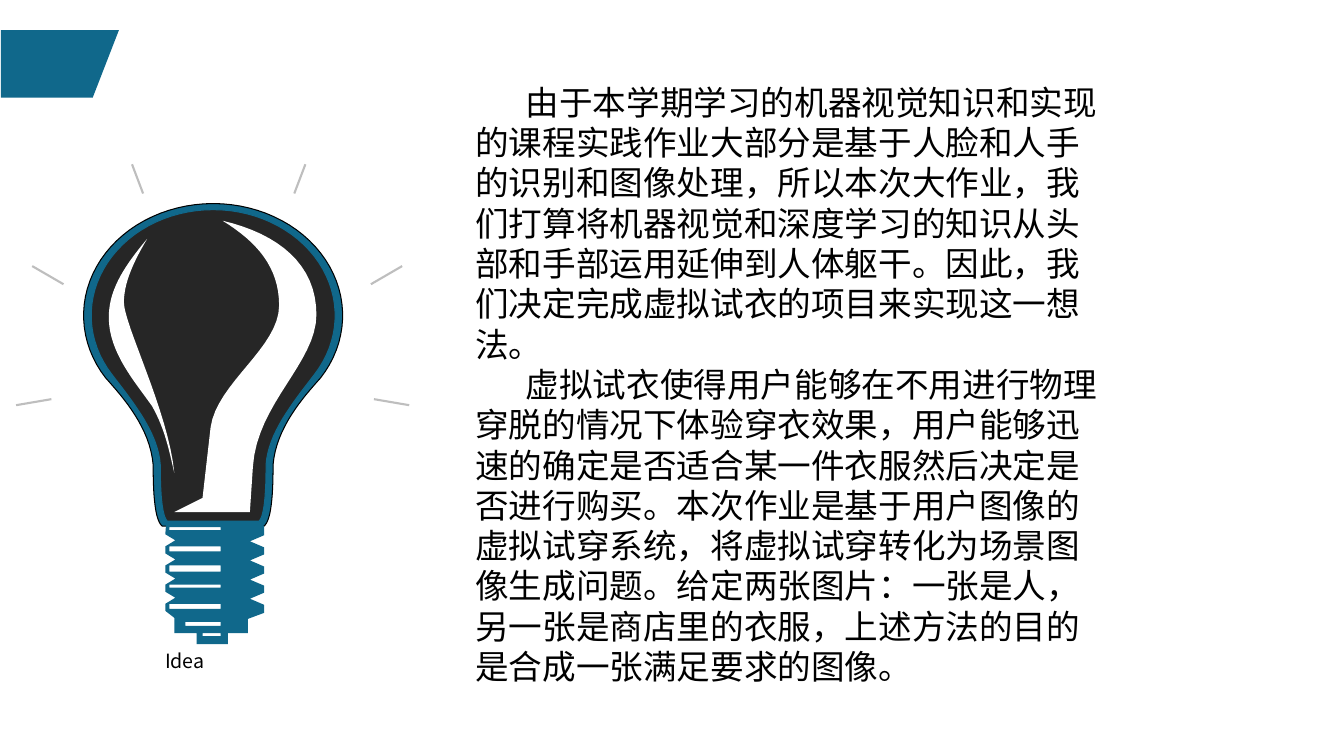
import math

import pptx
import pptx.dml.color
import pptx.enum.shapes
import pptx.util
from lxml import etree

Cm = pptx.util.Cm
Pt = pptx.util.Pt
RGB = pptx.dml.color.RGBColor

BLUE = RGB(0x10, 0x68, 0x8B)
DARK = RGB(0x26, 0x26, 0x26)
GREY = RGB(0xBE, 0xBE, 0xBE)
BLACK = RGB(0, 0, 0)
WHITE = RGB(0xFF, 0xFF, 0xFF)
FONT = "Noto Sans CJK SC"
NS = "{http://schemas.openxmlformats.org/drawingml/2006/main}"

GRID = Cm(0.0254)
AXIS = 211.5
HEART = 313
PITCH = 19
BODY = [
    "由于本学期学习的机器视觉知识和实现的课程实践作业大部分是基于人脸和人手的识别和图像处理，"
    "所以本次大作业，我们打算将机器视觉和深度学习的知识从头部和手部运用延伸到人体躯干。"
    "因此，我们决定完成虚拟试衣的项目来实现这一想法。",
    "虚拟试衣使得用户能够在不用进行物理穿脱的情况下体验穿衣效果，"
    "用户能够迅速的确定是否适合某一件衣服然后决定是否进行购买。"
    "本次作业是基于用户图像的虚拟试穿系统，将虚拟试穿转化为场景图像生成问题。"
    "给定两张图片：一张是人，另一张是商店里的衣服，上述方法的目的是合成一张满足要求的图像。"]


class Page:
    """Hold the style and the current slide, and draw each kind of element."""

    def __init__(self, deck):
        """Add an empty slide to the deck."""
        self.slide = deck.slides.add_slide(deck.slide_layouts[6])
        self.place = self.slide.shapes

    def group(self):
        """Draw the elements that follow into a new group."""
        self.place = self.slide.shapes.add_group_shape().shapes

    def ungroup(self):
        """Draw the elements that follow directly on the slide."""
        self.place = self.slide.shapes

    def shape(self, fill, *loops, line=None):
        """Draw closed outlines given in grid units; inner loops are holes."""
        first, *rest = [[(x * GRID, y * GRID) for x, y in loop] for loop in loops]
        pen = self.place.build_freeform(*first[0])
        pen.add_line_segments(first[1:], close=True)
        for loop in rest:
            pen.move_to(*loop[0])
            pen.add_line_segments(loop[1:], close=True)
        form = pen.convert_to_shape()
        form.shadow.inherit = False
        form.fill.solid()
        form.fill.fore_color.rgb = fill
        if line is None:
            form.line.fill.background()
        else:
            form.line.color.rgb = line
            form.line.width = Pt(0.75)

    def ray(self, *ends):
        """Draw a thin grey line between two grid points."""
        kind = pptx.enum.shapes.MSO_CONNECTOR.STRAIGHT
        line = self.place.add_connector(kind, *[round(v * GRID) for v in ends])
        line.line.color.rgb = GREY
        line.line.width = Pt(1.5)
        etree.SubElement(line._element.spPr, NS + "effectLst")

    def text(self, box, paras, size, indent=0, space=None):
        """Draw a wrapped text box with one run per paragraph."""
        frame = self.place.add_textbox(*[Cm(v) for v in box]).text_frame
        frame.word_wrap = True
        for i, words in enumerate(paras):
            para = frame.add_paragraph() if i else frame.paragraphs[0]
            para.line_spacing = space
            para._p.get_or_add_pPr().set("indent", str(Cm(indent)))
            run = para.add_run()
            run.text = words
            run.font.size = Pt(size)
            run.font.color.rgb = BLACK
            run.font.name = FONT
            etree.SubElement(run._r.rPr, NS + "ea", typeface=FONT)


def curve(a, b, c, d, steps=16):
    """Return points on a cubic curve from a to d, pulled by b and c."""
    def mix(t, axis):
        u = 1 - t
        return (u**3 * a[axis] + 3 * u * u * t * b[axis]
                + 3 * u * t * t * c[axis] + t**3 * d[axis])
    return [(mix(i / steps, 0), mix(i / steps, 1)) for i in range(1, steps + 1)]


def trace(start, *moves):
    """Follow moves from start: one point is a line, three are a curve."""
    points = [start]
    for move in moves:
        points += curve(points[-1], *move) if len(move) == 3 else move
    return points


def bulb(rx, ry, upper, lower, neck, foot):
    """Return a bulb outline: half a dome and neck, mirrored on the axis."""
    dome = [(AXIS + rx * math.cos(a), HEART + ry * math.sin(a))
            for a in map(math.radians, range(-90, 35, 4))]
    half = dome + trace(dome[-1], (upper, lower, neck), foot)[1:]
    return half + [(2 * AXIS - x, y) for x, y in reversed(half)]


def thread(edge, root, top, count):
    """Return notches one pitch apart down an edge of the screw."""
    notches = []
    for i in range(count):
        y = top + i * PITCH
        notches += [(edge, y - 6), (root, y), (edge, y + 6)]
    return notches


def slit(left, top, high):
    """Return a slot in the screw."""
    right = 219
    return [(left, top), (right, top), (right, top + high), (left, top + high)]


def draw_glass(page):
    """Draw the rim, the dark glass and its two highlights."""
    rim = bulb(128.5, 111, (300, 395), (274, 425), (271, 461),
               [(271, 499), (268, 517), (262, 522)])
    glass = bulb(121, 105, (290, 400), (266, 430), (264, 461),
                 [(264, 504), (260, 514), (257, 517)])
    glint = trace((146, 237),
                  ((133, 259), (123, 280), (123, 300)),
                  [(123, 322), (167, 408), (173, 469)],
                  ((168, 448), (164, 426), (151, 403)),
                  ((135, 380), (108, 350), (108, 315)),
                  ((108, 290), (120, 268), (146, 237)))
    shine = trace((221, 219),
                  ((276, 232), (314, 262), (314, 312)),
                  ((314, 360), (255, 400), (251, 463)),
                  [(248, 508), (173, 508), (201, 494), (209, 424)],
                  ((215, 380), (277, 345), (277, 303)),
                  ((277, 265), (255, 240), (221, 219)))
    page.shape(BLUE, rim, line=BLACK)
    page.shape(DARK, glass, line=BLUE)
    page.shape(WHITE, glint, shine)


def draw_screw(page):
    """Draw the threaded base with its slits."""
    left = [(165, 517)] + thread(164, 174, 536, 4) + [(164, 606), (173, 613)]
    tip = [(173, 628), (195, 628), (195, 639), (226, 639), (226, 628), (246, 628)]
    right = [(257, 517), (262, 522)] + thread(262, 248, 537, 4) + [(262, 608), (246, 614)]
    slits = [slit(168, 523 + i * PITCH, high)
             for i, high in enumerate((3, 5, 6, 3, 5))]
    slits += [slit(184, 617, 4), slit(201, 628, 3)]
    page.shape(BLUE, left + tip + right[::-1], *slits)


def draw_rays(page):
    """Draw three rays on the left, each mirrored to the right."""
    for x1, y1, x2, y2, mid in ((131, 163, 142, 192, 217),
                                (32, 264, 63, 282, 215.5),
                                (16, 402, 51, 396, 211)):
        page.ray(x1, y1, x2, y2)
        page.ray(2 * mid - x1, y1, 2 * mid - x2, y2)


def main():
    """Build the slide and save it."""
    deck = pptx.Presentation()
    deck.slide_width, deck.slide_height = Cm(33.87), Cm(19.05)
    page = Page(deck)
    page.shape(BLUE, [(1, 30), (118, 30), (92, 97), (1, 97)])
    page.group()
    draw_glass(page)
    draw_screw(page)
    draw_rays(page)
    page.text((3.91, 16.23, 3.5, 1.12), ["Idea"], 14)
    page.ungroup()
    page.text((11.73, 1.93, 16.36, 17.12), BODY, 24, 1.27, Pt(28.8))
    deck.save("out.pptx")


if __name__ == "__main__":
    main()
